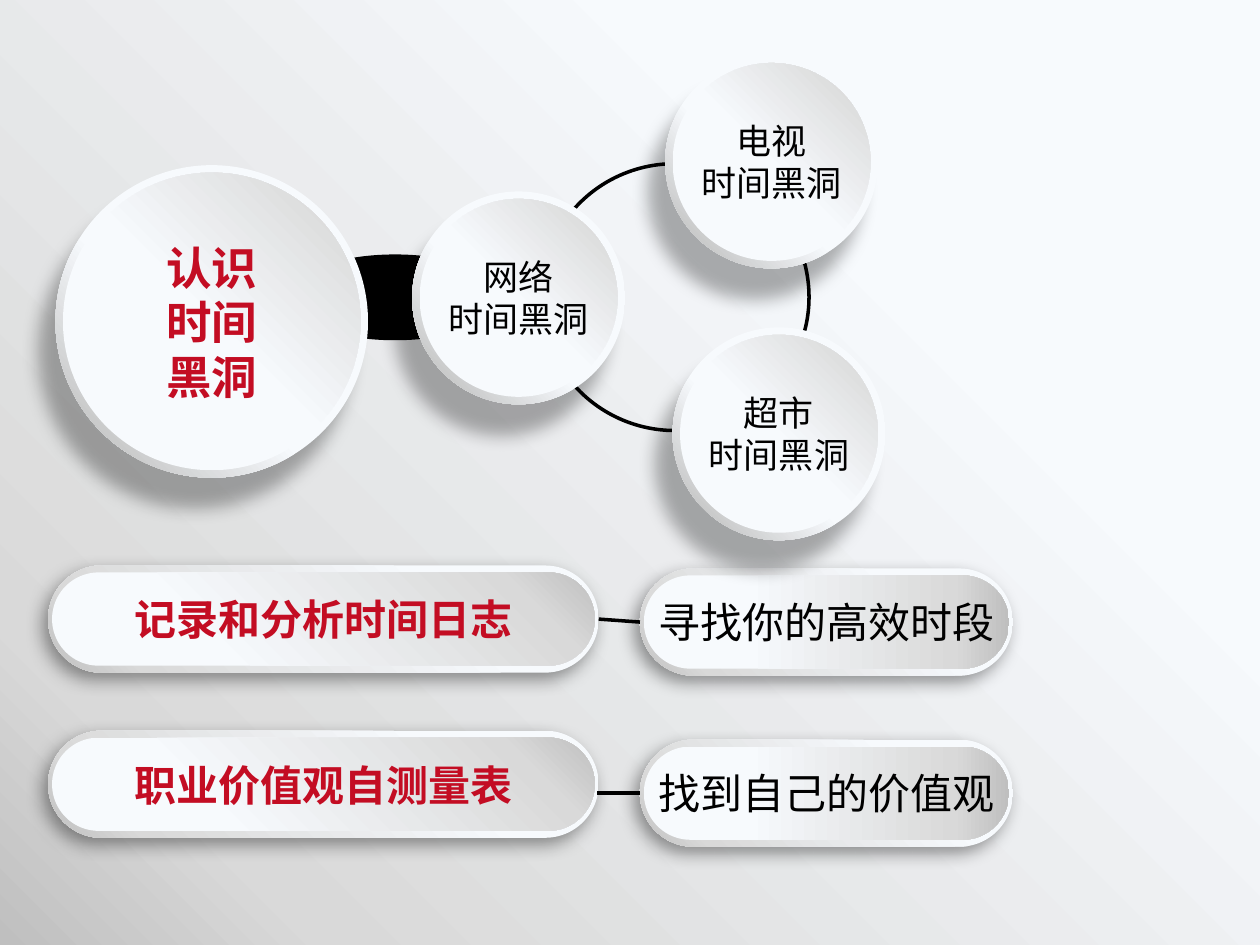
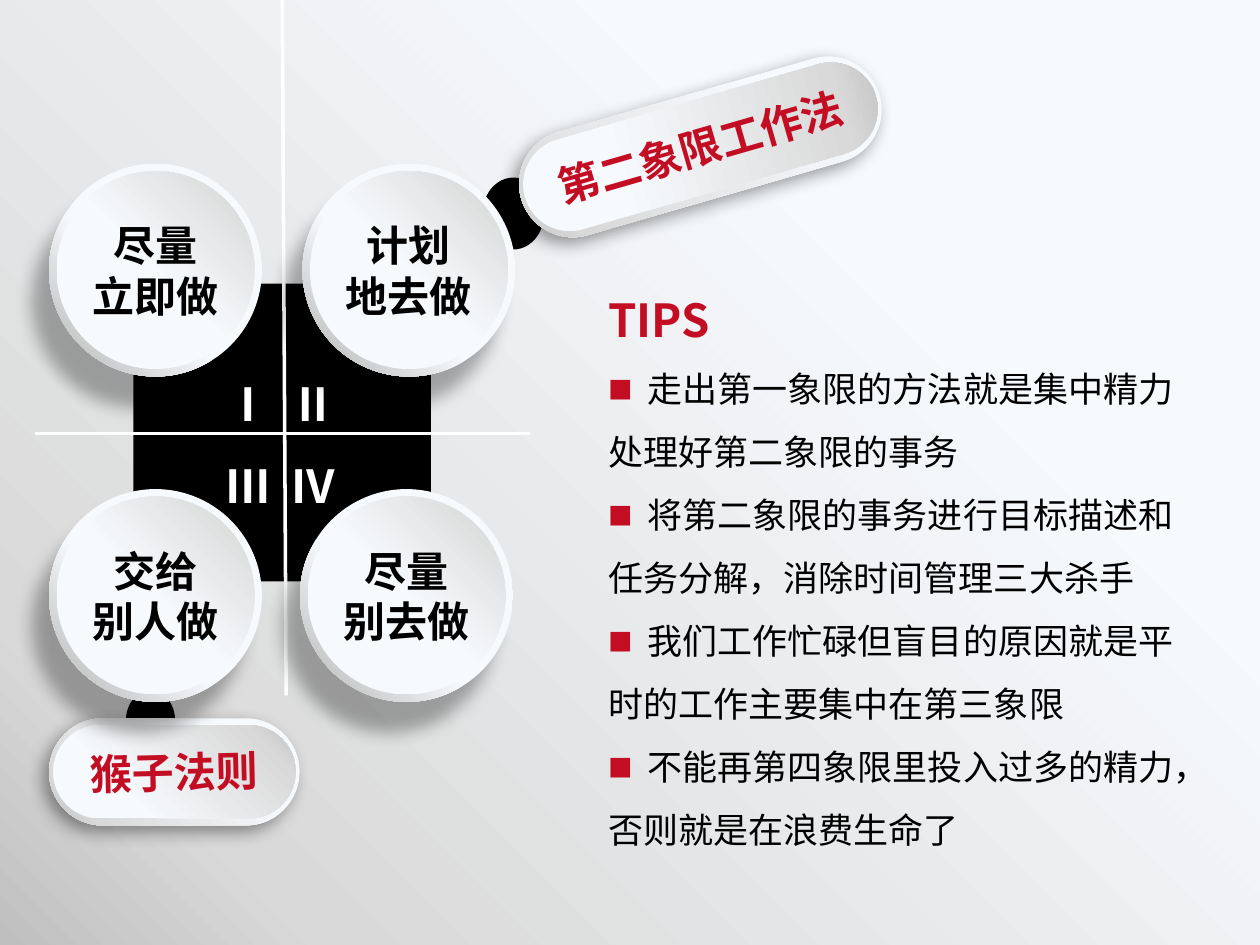
"""Build two slides on time management: time black holes and the four quadrants."""
import lxml.etree
import pptx
import pptx.dml.color
import pptx.enum.shapes
import pptx.enum.text
import pptx.oxml.ns
import pptx.util

Cm = pptx.util.Cm
SHAPE = pptx.enum.shapes.MSO_SHAPE
ALIGN = pptx.enum.text.PP_ALIGN
FONT = "Noto Sans CJK SC"
RED, BLACK, WHITE = "C30D23", "000000", "FFFFFF"
SILVER = [(28, "F7FAFD"), (85, "D9D9D9"), (100, "BFBFBF")]
RIM = [(57, "F7FAFD"), (92, "BFBFBF"), (100, "A6A6A6")]
DOME = [(49, "F7FAFD"), (92, "D9D9D9"), (100, "BFBFBF")]
DISC_SHADOW = {"alpha": 31, "blur": 10, "distance": 20, "angle": 120}
PILL_SHADOW = {"alpha": 40, "blur": 10, "distance": 5, "angle": 135}
DISC_SIZE, PILL_HEIGHT = 4.29, 2.16
RED_HEADING = {"size": 26, "color": RED, "bold": True}
RED_LABEL = {"size": 24, "color": RED, "bold": True}
BLACK_LABEL = {"size": 24, "color": BLACK, "bold": False}
QUADRANT_LABEL = {"size": 24, "color": BLACK, "bold": True}
PLAIN = {"size": 20, "color": BLACK, "bold": False}
NUMERAL = {"size": 26, "color": WHITE, "bold": True}


def rgb(color):
    return pptx.dml.color.RGBColor.from_string(color)


def add_xml(parent, markup):
    namespace = pptx.oxml.ns.nsdecls("a")
    wrapper = pptx.oxml.parse_xml(f"<a:wrapper {namespace}>{markup}</a:wrapper>")
    for element in list(wrapper):
        parent.append(element)


def set_gradient(fill, owner, stops, angle):
    fill.gradient()
    gradient = next(owner.iter(pptx.oxml.ns.qn("a:gradFill")))
    for child in list(gradient):
        gradient.remove(child)
    marks = "".join(
        f'<a:gs pos="{position * 1000}"><a:srgbClr val="{color}"/></a:gs>'
        for position, color in stops
    )
    add_xml(gradient, f'<a:gsLst>{marks}</a:gsLst><a:lin ang="{angle * 60000}" scaled="0"/>')


def add_figure(shapes, kind, box, fill=None, line=None, rotation=0):
    shape = shapes.add_shape(kind, *map(Cm, box))
    shape.shadow.inherit = False
    shape.rotation = rotation
    if fill:
        shape.fill.solid()
        shape.fill.fore_color.rgb = rgb(fill)
    else:
        shape.fill.background()
    if line:
        shape.line.color.rgb = rgb(line)
        shape.line.width = pptx.util.Pt(2)
    else:
        shape.line.fill.background()
    return shape


def set_shadow(shape, shadow):
    effects = shape._element.spPr.find(pptx.oxml.ns.qn("a:effectLst"))
    add_xml(
        effects,
        f'<a:outerShdw blurRad="{shadow["blur"] * 12700}" dist="{shadow["distance"] * 12700}"'
        f' dir="{shadow["angle"] * 60000}" algn="ctr" rotWithShape="0">'
        f'<a:srgbClr val="{BLACK}"><a:alpha val="{shadow["alpha"] * 1000}"/></a:srgbClr>'
        "</a:outerShdw>",
    )


def write_paragraph(paragraph, text, style, **layout):
    for name, value in layout.items():
        setattr(paragraph, name, value)
    run = paragraph.add_run()
    run.text = text
    formats = {"name": FONT, "size": pptx.util.Pt(style["size"]), "bold": style["bold"]}
    for name, value in formats.items():
        setattr(run.font, name, value)
    run.font.color.rgb = rgb(style["color"])
    add_xml(run._r.get_or_add_rPr(), f'<a:ea typeface="{FONT}"/>')


def add_paragraph(frame, index):
    return frame.paragraphs[0] if index == 0 else frame.add_paragraph()


def add_label(shapes, center, lines, style, rotation=0):
    em = style["size"] / 72 * 2.54
    width = max(map(len, lines)) * em + 0.51
    height = len(lines) * em * 1.2 + 0.25
    left, top = center[0] - width / 2, center[1] - height / 2
    label = shapes.add_textbox(*map(Cm, (left, top, width, height)))
    label.rotation = rotation
    frame = label.text_frame
    frame.word_wrap = False
    frame.vertical_anchor = pptx.enum.text.MSO_ANCHOR.MIDDLE
    for index, line in enumerate(lines):
        write_paragraph(add_paragraph(frame, index), line, style, alignment=ALIGN.CENTER)


def add_button(slide, kind, box, inset, base, face, shadow, rotation=0):
    left, top, width, height = box
    inset_x, inset_y = inset
    inner = (left + inset_x, top + inset_y, width - 2 * inset_x, height - 2 * inset_y)
    group = slide.shapes.add_group_shape()
    layers = []
    for frame, (stops, angle) in ((box, base), (inner, face)):
        layer = add_figure(group.shapes, kind, frame, rotation=rotation)
        set_gradient(layer.fill, layer._element, stops, angle)
        layers.append(layer)
        if kind == SHAPE.ROUNDED_RECTANGLE:
            layer.adjustments[0] = 0.5
    set_shadow(layers[0], shadow)
    return group, layers[0], (left + width / 2, top + height / 2)


def add_disc(slide, left, top, lines, style, size=DISC_SIZE):
    group, _, center = add_button(
        slide, SHAPE.OVAL, (left, top, size, size), (0.15, 0.15),
        (RIM, 135), (DOME, 315), DISC_SHADOW,
    )
    add_label(group.shapes, center, lines, style)


def add_pill(slide, left, top, width, text, style, angle=315, rotation=0, tilt=0):
    group, base, center = add_button(
        slide, SHAPE.ROUNDED_RECTANGLE, (left, top, width, PILL_HEIGHT), (0.08, 0.14),
        (SILVER, 135), (SILVER, angle), PILL_SHADOW, rotation,
    )
    add_label(group.shapes, center, [text], style, rotation or tilt)
    return base


def add_line(slide, start, end, color):
    connector = slide.shapes.add_connector(
        pptx.enum.shapes.MSO_CONNECTOR.STRAIGHT, *map(Cm, (*start, *end))
    )
    connector.line.color.rgb = rgb(color)
    connector.line.width = pptx.util.Pt(2)
    add_xml(connector._element.spPr, "<a:effectLst/>")
    return connector


def add_numerals(slide, box, rows):
    textbox = slide.shapes.add_textbox(*map(Cm, box))
    textbox.text_frame.word_wrap = False
    for index, row in enumerate(rows):
        paragraph = add_paragraph(textbox.text_frame, index)
        add_xml(
            paragraph._p.get_or_add_pPr(),
            f'<a:tabLst><a:tab pos="{Cm(1.32)}" algn="l"/></a:tabLst>',
        )
        write_paragraph(paragraph, "\t".join(row), NUMERAL, line_spacing=1.5)


def fill_tips(body, box, heading, tips):
    for name, value in zip(("left", "top", "width", "height"), box):
        setattr(body, name, Cm(value))
    frame = body.text_frame
    frame.word_wrap = True
    frame.auto_size = pptx.enum.text.MSO_AUTO_SIZE.NONE
    rows = [(heading, RED_HEADING, False)]
    for opening, rest in tips:
        rows += [(opening, PLAIN, True), (rest, PLAIN, False)]
    for index, (text, style, bulleted) in enumerate(rows):
        paragraph = add_paragraph(frame, index)
        properties = paragraph._p.get_or_add_pPr()
        indent = Cm(0.79) if bulleted else 0
        properties.set("marL", str(indent))
        properties.set("indent", str(-indent))
        bullet = (
            f'<a:buClr><a:srgbClr val="{RED}"/></a:buClr><a:buSzPct val="70000"/>'
            f'<a:buFont typeface="{FONT}"/><a:buChar char="■"/>'
        )
        add_xml(properties, bullet if bulleted else "<a:buNone/>")
        write_paragraph(
            paragraph, text, style, line_spacing=1.5,
            space_before=pptx.util.Pt(0), alignment=ALIGN.LEFT,
        )


def build_black_holes(presentation):
    slide = presentation.slides.add_slide(presentation.slide_layouts[6])
    add_figure(slide.shapes, SHAPE.OVAL, (5.77, 5.13, 4.39, 1.73), fill=BLACK)
    add_figure(slide.shapes, SHAPE.OVAL, (10.9, 3.3, 5.41, 5.38), line=BLACK)
    add_disc(slide, 8.31, 3.86, ["网络", "时间黑洞"], PLAIN)
    add_disc(slide, 1.12, 3.33, ["认识", "时间", "黑洞"], RED_HEADING, size=6.3)
    value_task = add_pill(slide, 0.97, 14.73, 11.1, "职业价值观自测量表", RED_LABEL)
    value_goal = add_pill(slide, 12.9, 14.91, 7.52, "找到自己的价值观", BLACK_LABEL, angle=0)
    log_task = add_pill(slide, 0.97, 11.4, 11.1, "记录和分析时间日志", RED_LABEL)
    log_goal = add_pill(slide, 12.9, 11.46, 7.52, "寻找你的高效时段", BLACK_LABEL, angle=0)
    log_link = add_line(slide, (12.07, 12.48), (12.9, 12.54), BLACK)
    log_link.begin_connect(log_task, 3)
    log_link.end_connect(log_goal, 1)
    value_link = add_line(slide, (12.04, 15.99), (12.9, 15.99), BLACK)
    value_link.end_connect(value_goal, 1)
    add_disc(slide, 13.41, 1.12, ["电视", "时间黑洞"], PLAIN)
    add_disc(slide, 13.56, 6.6, ["超市", "时间黑洞"], PLAIN)


def build_quadrants(presentation):
    slide = presentation.slides.add_slide(presentation.slide_layouts[1])
    title = slide.shapes.title._element
    title.getparent().remove(title)
    tips = [
        ("走出第一象限的方法就是集中精力", "处理好第二象限的事务"),
        ("将第二象限的事务进行目标描述和", "任务分解，消除时间管理三大杀手"),
        ("我们工作忙碌但盲目的原因就是平", "时的工作主要集中在第三象限"),
        ("不能再第四象限里投入过多的精力，", "否则就是在浪费生命了"),
    ]
    fill_tips(slide.placeholders[1], (12.01, 5.21, 12.7, 12.2), "TIPS", tips)
    for knot in ((9.73, 3.58, 1.24, 1.45), (2.54, 13.92, 0.99, 1.19)):
        add_figure(slide.shapes, SHAPE.OVAL, knot, fill=BLACK)
    add_pill(slide, 10.36, 1.88, 7.52, "第二象限工作法", RED_LABEL, angle=0, rotation=343.9)
    add_pill(slide, 0.99, 14.48, 5.05, "猴子法则", RED_LABEL, tilt=358.6)
    add_figure(slide.shapes, SHAPE.RECTANGLE, (2.69, 5.72, 6, 6), fill=BLACK)
    add_numerals(slide, (4.29, 6.91, 2.92, 3.58), [("Ⅰ", "Ⅱ"), ("Ⅲ", "Ⅳ")])
    add_line(slide, (0.71, 8.74), (10.69, 8.74), WHITE)
    add_line(slide, (5.69, 0), (5.77, 14.02), WHITE)
    quadrants = [
        (0.99, 3.3, ["尽量", "立即做"]),
        (6.1, 3.3, ["计划", "地去做"]),
        (0.99, 9.86, ["交给", "别人做"]),
        (6.05, 9.86, ["尽量", "别去做"]),
    ]
    for left, top, lines in quadrants:
        add_disc(slide, left, top, lines, QUADRANT_LABEL)


def main():
    presentation = pptx.Presentation()
    presentation.slide_width, presentation.slide_height = Cm(25.4), Cm(19.05)
    master = presentation.slide_master
    set_gradient(master.background.fill, master._element.cSld, SILVER, 135)
    build_black_holes(presentation)
    build_quadrants(presentation)
    presentation.save("out.pptx")


if __name__ == "__main__":
    main()
